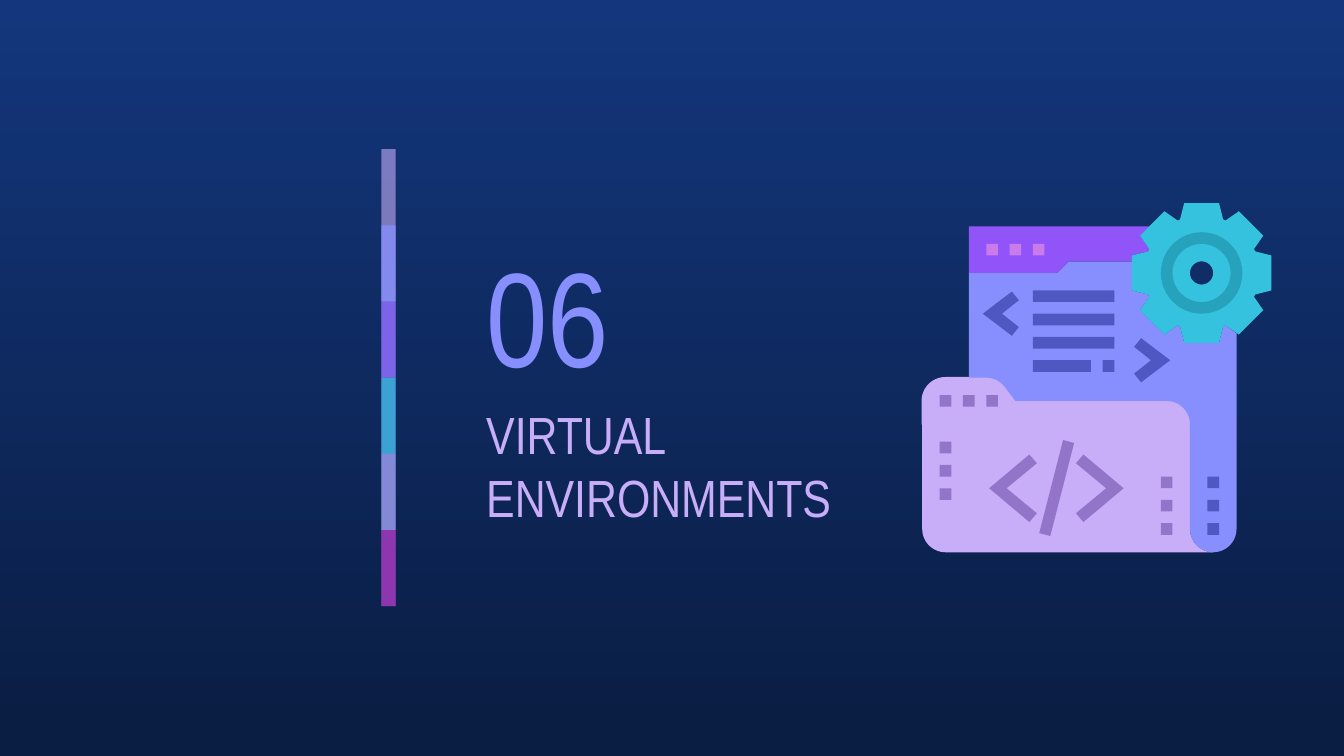
from dataclasses import dataclass
from math import cos, radians, sin

from lxml import etree
from pptx import Presentation
from pptx.dml.color import RGBColor
from pptx.enum.shapes import MSO_SHAPE
from pptx.enum.text import MSO_ANCHOR, PP_ALIGN
from pptx.oxml.ns import qn
from pptx.util import Cm, Pt

RECTANGLE = MSO_SHAPE.RECTANGLE
DONUT = MSO_SHAPE.DONUT
MIDDLE = MSO_ANCHOR.MIDDLE
LEFT = PP_ALIGN.LEFT

COLORS = {
    "sky": "13367C",
    "night": "0A1D42",
    "lilac": "C8AEF8",
    "periwinkle": "878FFF",
    "violet": "9154F8",
    "cyan": "35C2DF",
    "teal": "26A2BC",
    "pink": "CA7BEB",
    "plum": "972CB4",
    "mauve": "9275C8",
    "indigo": "4F57C3",
}
FONT = "Arial Narrow"
ICON_LEFT, ICON_TOP, UNIT = 17.43, 3.84, 0.22
GEAR_X, GEAR_Y = 24, 6

Point = tuple[float, float]


@dataclass
class Segment:
    color: str
    opacity: int
    span: int = 2


@dataclass
class Block:
    x: float
    y: float
    color: str
    width: float = 1


@dataclass
class Chevron:
    x: float
    y: float
    direction: int
    color: str
    outer: Point
    inner: Point
    notch: float


@dataclass
class Ring:
    radius: float
    thickness: float
    color: str


def rgb(name: str) -> RGBColor:
    return RGBColor.from_string(COLORS[name])


def icon_point(point: Point) -> Point:
    return Cm(ICON_LEFT + point[0] * UNIT), Cm(ICON_TOP + point[1] * UNIT)


def arc(x: float, y: float, radius: float, start: int, end: int) -> list[Point]:
    steps = max(1, abs(end - start) // 6)
    angles = [radians(start + (end - start) * step / steps) for step in range(steps + 1)]
    return [(x + radius * cos(angle), y + radius * sin(angle)) for angle in angles]


def gear_outline() -> list[Point]:
    quarter = [(-1.5, -6), (1.5, -6), (1.85, -4.6), (2.05, -4.5),
               (3.2, -5.3), (5.3, -3.2), (4.5, -2.05), (4.6, -1.85)]
    outline = []
    for _ in range(4):
        outline += [(GEAR_X + x, GEAR_Y + y) for x, y in quarter]
        quarter = [(-y, x) for x, y in quarter]
    return outline


def paint(shape, color: str) -> None:
    shape.shadow.inherit = False
    shape.fill.solid()
    shape.fill.fore_color.rgb = rgb(color)
    shape.line.fill.background()


def add_outline(group, color: str, *contours: list[Point]):
    first, *others = [[icon_point(point) for point in contour] for contour in contours]
    builder = group.shapes.build_freeform(*first[0], scale=1.0)
    builder.add_line_segments(first[1:], close=True)
    for contour in others:
        builder.move_to(*contour[0])
        builder.add_line_segments(contour[1:], close=True)
    shape = builder.convert_to_shape()
    paint(shape, color)
    return shape


def add_block(group, block: Block) -> None:
    left, top = icon_point((block.x, block.y))
    shape = group.shapes.add_shape(RECTANGLE, left, top, Cm(block.width * UNIT), Cm(UNIT))
    paint(shape, block.color)


def add_chevron(group, chevron: Chevron) -> None:
    (outer_x, outer_y), (inner_x, inner_y) = chevron.outer, chevron.inner
    offsets = [(0, 0), (outer_x, -outer_y), (inner_x, -inner_y),
               (chevron.notch, 0), (inner_x, inner_y), (outer_x, outer_y)]
    points = [(chevron.x + chevron.direction * x, chevron.y + y) for x, y in offsets]
    add_outline(group, chevron.color, points)


def add_ring(group, ring: Ring) -> None:
    left, top = icon_point((GEAR_X - ring.radius, GEAR_Y - ring.radius))
    size = Cm(2 * ring.radius * UNIT)
    shape = group.shapes.add_shape(DONUT, left, top, size, size)
    shape.adjustments[0] = ring.thickness / (2 * ring.radius)
    paint(shape, ring.color)


def add_segment(group, index: int, segment: Segment) -> None:
    step = 1.44
    shape = group.shapes.add_shape(
        RECTANGLE, Cm(7.21), Cm(2.82 + index * step), Cm(0.27), Cm(segment.span * step))
    paint(shape, segment.color)
    color = shape.fill._xPr.find(qn("a:solidFill"))[0]
    etree.SubElement(color, qn("a:alpha")).set("val", str(segment.opacity * 1000))


def add_text(slide, text: str, *, left: float, top: float, width: float,
             height: float, size: int, color: str) -> None:
    box = slide.shapes.add_textbox(Cm(left), Cm(top), Cm(width), Cm(height))
    frame = box.text_frame
    frame.word_wrap = True
    frame.vertical_anchor = MIDDLE
    frame.margin_left = frame.margin_right = Cm(0.25)
    frame.margin_top = frame.margin_bottom = Cm(0.25)
    para = frame.paragraphs[0]
    para.alignment = LEFT
    span = para.add_run()
    span.text = text
    span.font.name = FONT
    span.font.size = Pt(size)
    span.font.color.rgb = rgb(color)


def add_icon(slide) -> None:
    group = slide.shapes.add_group_shape()
    gear = gear_outline()
    tab_edge = arc(5.5, 17, 2, -90, -35) + [(8, 17)] + arc(21, 19, 2, -90, 0)
    fold = arc(25, 28, 2, 180, 90)
    add_outline(group, "lilac", [(0, 19)] + arc(2, 28, 2, 180, 90) + fold[::-1] + [(23, 19)])
    tab = add_outline(group, "lilac", [(0, 19)] + arc(2, 17, 2, 180, 270) + tab_edge)
    tab.line.color.rgb = rgb("lilac")
    tab.line.width = Pt(0.75)
    add_outline(group, "periwinkle",
                [(12.6, 5), (11.6, 6), (4, 6), (4, 15)] + tab_edge + fold
                + arc(25, 28, 2, 90, 0) + [(27, 11.2)] + gear[14:25] + [(18, 5)])
    add_outline(group, "violet",
                [(4, 2), (4, 6), (11.6, 6), (12.6, 5), (18, 5)] + gear[25:29] + [(19.5, 2)])
    add_outline(group, "cyan", gear, arc(GEAR_X, GEAR_Y, 3, 360, 0))
    for ring in (Ring(3, 2, "cyan"), Ring(3.5, 1, "teal")):
        add_ring(group, ring)

    blocks = [Block(x, y, color) for y, color in ((3.5, "pink"),) for x in (5.5, 7.5, 9.5)]
    blocks += [Block(x, 16.5, "mauve") for x in (1.5, 3.5, 5.5)]
    for x, top, color in ((1.5, 20.5, "mauve"), (20.5, 23.5, "mauve"), (24.5, 23.5, "indigo")):
        blocks += [Block(x, top + 2 * row, color) for row in range(3)]
    blocks += [Block(9.5, 7.5 + 2 * row, "indigo", width) for row, width in enumerate((7, 7, 7, 5))]
    blocks.append(Block(15.5, 13.5, "indigo"))
    for block in blocks:
        add_block(group, block)

    small = {"color": "indigo", "outer": (2.5, 1.9), "inner": (3.1, 1.15), "notch": 1.65}
    large = {"color": "mauve", "outer": (3.45, 2.9), "inner": (4.1, 2.15), "notch": 1.5}
    for chevron in (Chevron(5.2, 9.5, 1, **small), Chevron(21.3, 13.5, -1, **small),
                    Chevron(5.75, 24.5, 1, **large), Chevron(17.3, 24.5, -1, **large)):
        add_chevron(group, chevron)
    add_outline(group, "mauve", [(12.1, 20.35), (10.05, 28.35), (11, 28.6), (13.05, 20.6)])


def main() -> None:
    deck = Presentation()
    deck.slide_width, deck.slide_height = Cm(25.4), Cm(14.29)
    page = deck.slides.add_slide(deck.slide_layouts[6])
    backdrop = page.background.fill
    backdrop.gradient()
    backdrop.gradient_angle = 270
    for stop, color, position in zip(backdrop.gradient_stops, ("sky", "night"), (0, 1)):
        stop.color.rgb = rgb(color)
        stop.position = position

    add_text(page, "06", left=8.94, top=4.22, width=4.45, height=3.43,
             size=72, color="periwinkle")
    add_text(page, "VIRTUAL ENVIRONMENTS", left=8.94, top=7.57, width=7.29, height=2.44,
             size=28, color="lilac")
    add_icon(page)

    stripe = page.shapes.add_group_shape()
    segments = [Segment("lilac", 59), Segment("periwinkle", 74), Segment("violet", 53),
                Segment("cyan", 76), Segment("pink", 56), Segment("plum", 74, 1)]
    for index, segment in enumerate(segments):
        add_segment(stripe, index, segment)
    deck.save("out.pptx")


if __name__ == "__main__":
    main()
